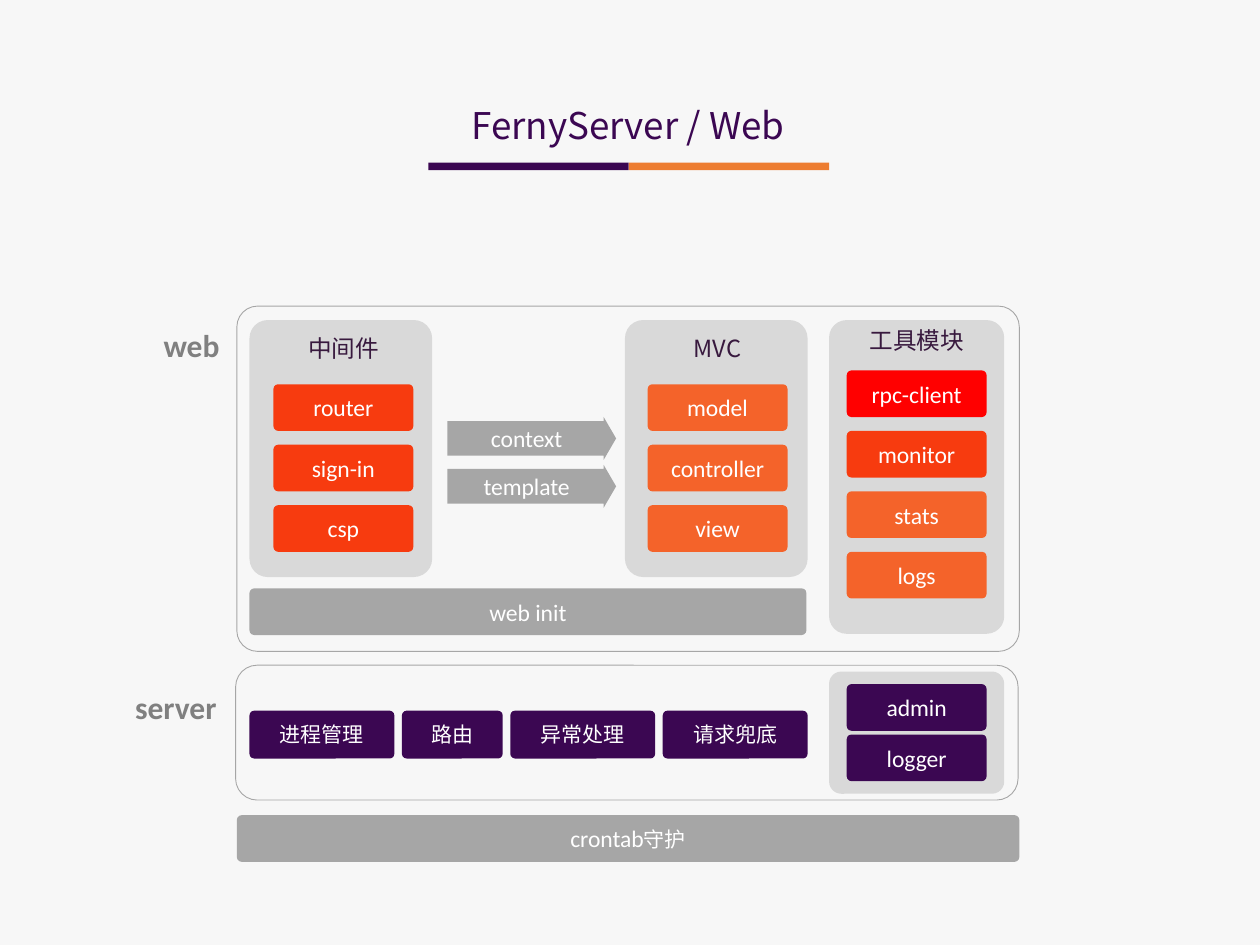
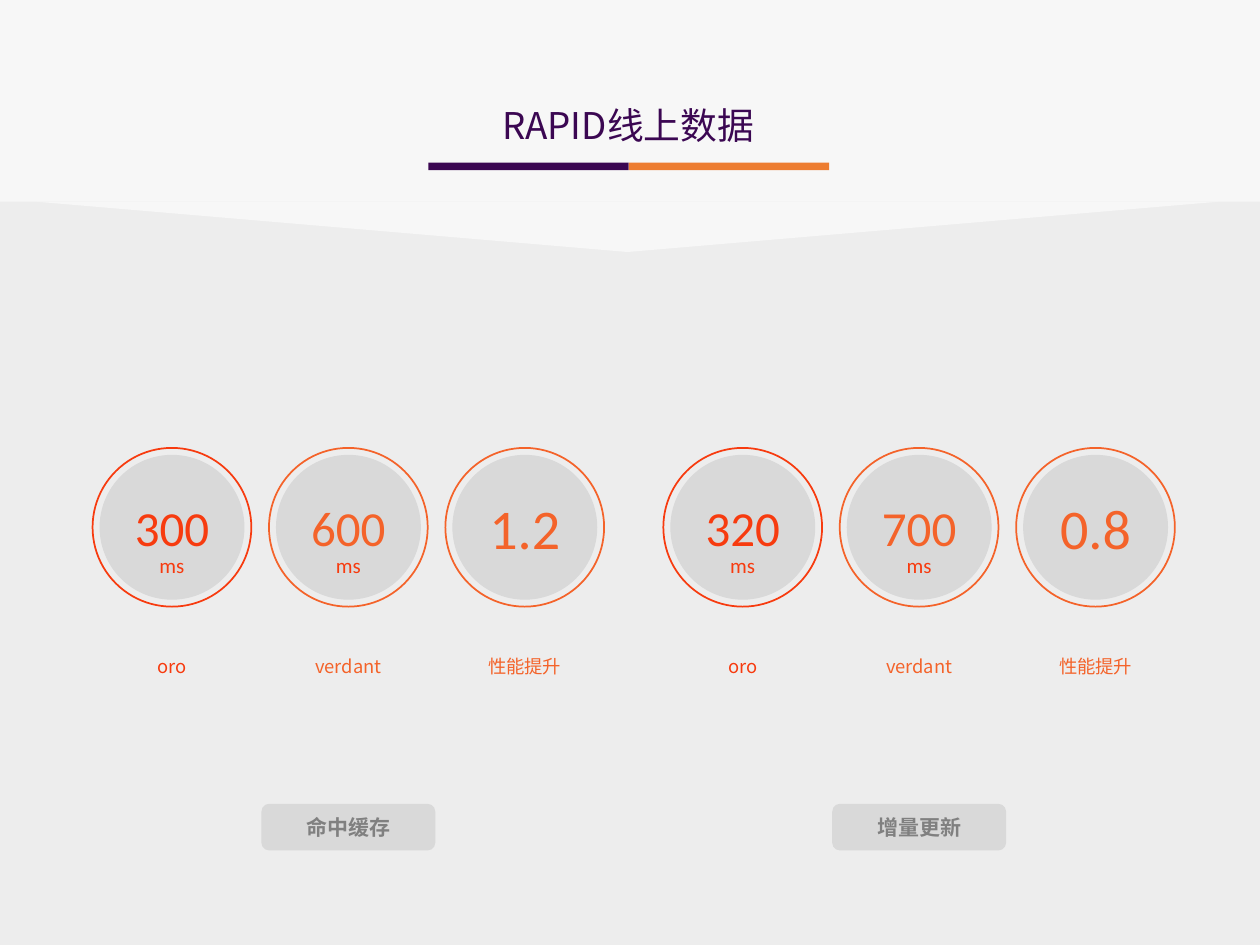
from dataclasses import dataclass
from typing import Optional

from lxml import etree
from pptx import Presentation
from pptx import util as u
from pptx.dml.color import RGBColor
from pptx.enum import shapes as kinds
from pptx.enum import text as t
from pptx.oxml import ns

COLORS = {
    "background": "F7F7F7", "band": "EDEDED", "panel": "D9D9D9",
    "gray": "A6A6A6", "label": "808080", "white": "FFFFFF",
    "purple": "3B0752", "heading": "38193E", "accent": "ED7D31",
    "red": "FF0000", "vermilion": "F73B0F", "orange": "F4632A",
}
LATIN, CJK = "Calibri", "Noto Sans CJK SC"
SHAPE = kinds.MSO_SHAPE
ROUND, CORNER = SHAPE.ROUNDED_RECTANGLE, 0.1
BUTTON_WIDTH, BUTTON_HEIGHT, BUTTON_STEP = 1.11, 0.37, 0.48


@dataclass
class Box:
    left: float
    top: float
    width: float
    height: float


@dataclass
class Button:
    text: str
    color: str


@dataclass
class Column:
    panel: Box
    heading: str
    heading_top: float
    button_left: float
    button_top: float
    buttons: list[Button]


@dataclass
class Metric:
    value: str
    unit: str
    caption: str
    color: str
    size: float = 28


@dataclass
class MetricGroup:
    title: str
    left: float
    metrics: list[Metric]


# Shared drawing functions
def rgb(name: str) -> RGBColor:
    return RGBColor.from_string(COLORS[name])


def inches(box: Box) -> list[int]:
    return [u.Inches(n) for n in (box.left, box.top, box.width, box.height)]


def centered(center: float, top: float, width: float, height: float) -> Box:
    return Box(center - width / 2, top, width, height)


def write(paragraph, text: str, *, size: float = 13.5, font: str = LATIN,
          color: str = "white", bold: bool = False) -> None:
    paragraph.alignment = t.PP_ALIGN.CENTER
    run = paragraph.add_run()
    run.text = text
    run.font.size, run.font.name, run.font.bold = u.Pt(size), font, bold
    run.font.color.rgb = rgb(color)
    east_asian = etree.SubElement(run.font._element, ns.qn("a:ea"))
    east_asian.set("typeface", font)


def add_shape(target, kind, box: Box, *, fill: Optional[str] = None,
              line: Optional[str] = None, line_width: float = 0.5,
              adjustments: tuple = (), text: str = "", **text_format):
    shape = target.shapes.add_shape(kind, *inches(box))
    shape.shadow.inherit = False
    for index, value in enumerate(adjustments):
        shape.adjustments[index] = value
    if fill:
        shape.fill.solid()
        shape.fill.fore_color.rgb = rgb(fill)
    else:
        shape.fill.background()
    if line:
        shape.line.color.rgb = rgb(line)
        shape.line.width = u.Pt(line_width)
    else:
        shape.line.fill.background()
    if text:
        shape.text_frame.vertical_anchor = t.MSO_ANCHOR.MIDDLE
        write(shape.text_frame.paragraphs[0], text, **text_format)
    return shape


def add_text(target, text: str, box: Box, *, wrap: bool = True, **text_format) -> None:
    frame = target.shapes.add_textbox(*inches(box)).text_frame
    frame.word_wrap = wrap
    frame.auto_size = t.MSO_AUTO_SIZE.SHAPE_TO_FIT_TEXT
    write(frame.paragraphs[0], text, **text_format)


def add_rounded(target, box: Box, fill: str, text: str = "", **text_format):
    return add_shape(target, ROUND, box, fill=fill, adjustments=(CORNER,),
                     text=text, **text_format)


def add_title(slide, text: str) -> None:
    group = slide.shapes.add_group_shape()
    add_text(group, text, Box(2.9, 0.77, 4.17, 0.47), size=21, font=CJK, color="purple")
    for index, color in enumerate(("purple", "accent")):
        add_shape(group, SHAPE.RECTANGLE, Box(3.4 + 1.59 * index, 1.29, 1.59, 0.06),
                  fill=color)


def add_slide(presentation):
    slide = presentation.slides.add_slide(presentation.slide_layouts[6])
    slide.background.fill.solid()
    slide.background.fill.fore_color.rgb = rgb("background")
    return slide


def add_buttons(slide, buttons: list[Button], left: float, top: float, step: float) -> None:
    for index, button in enumerate(buttons):
        box = Box(left, top + step * index, BUTTON_WIDTH, BUTTON_HEIGHT)
        add_rounded(slide, box, button.color, button.text)


# Architecture slide
COLUMNS = [
    Column(Box(1.98, 2.54, 1.45, 2.04), "中间件", 2.6, 2.17, 3.05,
           [Button(name, "vermilion") for name in ("router", "sign-in", "csp")]),
    Column(Box(4.96, 2.54, 1.45, 2.04), "MVC", 2.6, 5.14, 3.05,
           [Button(name, "orange") for name in ("model", "controller", "view")]),
    Column(Box(6.58, 2.54, 1.39, 2.49), "工具模块", 2.54, 6.72, 2.94,
           [Button("rpc-client", "red"), Button("monitor", "vermilion"),
            Button("stats", "orange"), Button("logs", "orange")]),
]
SERVER_TASKS = [("进程管理", 1.15), ("路由", 0.8), ("异常处理", 1.15), ("请求兜底", 1.15)]


def add_layer(slide, frame: Box, corner: float, name: str, name_box: Box) -> None:
    add_shape(slide, ROUND, frame, line="gray", adjustments=(corner,))
    add_text(slide, name, name_box, wrap=False, size=18, color="label", bold=True)


def build_architecture(presentation) -> None:
    slide = add_slide(presentation)
    add_title(slide, "FernyServer / Web")

    # Web layer
    add_layer(slide, Box(1.88, 2.43, 6.21, 2.74), 0.06, "web", Box(1.12, 2.54, 0.8, 0.4))
    for column in COLUMNS:
        add_rounded(slide, column.panel, "panel")
        center = column.button_left + BUTTON_WIDTH / 2
        add_text(slide, column.heading, centered(center, column.heading_top, 1.05, 0.34),
                 wrap=False, font=CJK, color="heading")
        add_buttons(slide, column.buttons, column.button_left, column.button_top, BUTTON_STEP)
    for index, name in enumerate(("context", "template")):
        add_shape(slide, SHAPE.RIGHT_ARROW, Box(3.55, 3.31 + 0.38 * index, 1.34, 0.34),
                  fill="gray", adjustments=(0.81, 0.29), text=name)
    add_rounded(slide, Box(1.98, 4.67, 4.42, BUTTON_HEIGHT), "gray", "web init")

    # Server layer
    add_layer(slide, Box(1.87, 5.28, 6.21, 1.07), 0.16, "server", Box(0.97, 5.41, 0.85, 0.4))
    left = 1.98
    for name, width in SERVER_TASKS:
        add_rounded(slide, Box(left, 5.64, width, 0.38), "purple", name, size=12, font=CJK)
        left += width + 0.06
    add_rounded(slide, Box(6.58, 5.33, 1.39, 0.97), "panel")
    add_buttons(slide, [Button(name, "purple") for name in ("admin", "logger")],
                6.72, 5.43, 0.4)

    # Daemon bar
    daemon = add_rounded(slide, Box(1.88, 6.47, 6.21, BUTTON_HEIGHT), "gray", "crontab")
    write(daemon.text_frame.paragraphs[0], "守护", size=12, font=CJK)


# Metrics slide
DISC, RING, DISC_TOP, DISC_STEP = 1.15, 1.26, 3.61, 1.4


def metrics(first_system: str, second_system: str, gain: str) -> list[Metric]:
    return [Metric(first_system, "ms", "oro", "vermilion"),
            Metric(second_system, "ms", "verdant", "orange"),
            Metric(gain, "", "性能提升", "orange", size=32)]


METRIC_GROUPS = [
    MetricGroup("命中缓存", 0.79, metrics("300", "600", "1.2")),
    MetricGroup("增量更新", 5.32, metrics("320", "700", "0.8")),
]


def add_metric(slide, metric: Metric, center: float) -> None:
    add_shape(slide, SHAPE.OVAL, centered(center, DISC_TOP, DISC, DISC), fill="panel",
              text=metric.value, size=metric.size, color=metric.color)
    ring_top = DISC_TOP - (RING - DISC) / 2
    add_shape(slide, SHAPE.OVAL, centered(center, ring_top, RING, RING),
              line=metric.color, line_width=1)
    if metric.unit:
        add_text(slide, metric.unit, centered(center, 4.34, 0.47, 0.3),
                 size=12, color="vermilion")
    add_text(slide, metric.caption, centered(center, 5.15, 0.92, 0.29),
             size=10.5, font=CJK, color=metric.color)


def build_metrics(presentation) -> None:
    slide = add_slide(presentation)
    # Lower band with a notch
    add_shape(slide, SHAPE.RECTANGLE, Box(0, 1.6, 10, 5.9), fill="band")
    notch = add_shape(slide, SHAPE.ISOSCELES_TRIANGLE, Box(0.28, 1.6, 9.4, 0.4),
                      fill="background")
    notch.rotation = 180
    add_title(slide, "RAPID线上数据")

    # Metric circles and their group titles
    for group in METRIC_GROUPS:
        for index, metric in enumerate(group.metrics):
            add_metric(slide, metric, group.left + DISC / 2 + DISC_STEP * index)
        middle = group.left + DISC / 2 + DISC_STEP
        add_shape(slide, ROUND, centered(middle, 6.38, 1.38, 0.37), fill="panel",
                  text=group.title, size=12, font=CJK, color="label", bold=True)


def main() -> None:
    presentation = Presentation()
    presentation.slide_width, presentation.slide_height = u.Inches(10), u.Inches(7.5)
    build_architecture(presentation)
    build_metrics(presentation)
    presentation.save("out.pptx")


if __name__ == "__main__":
    main()
